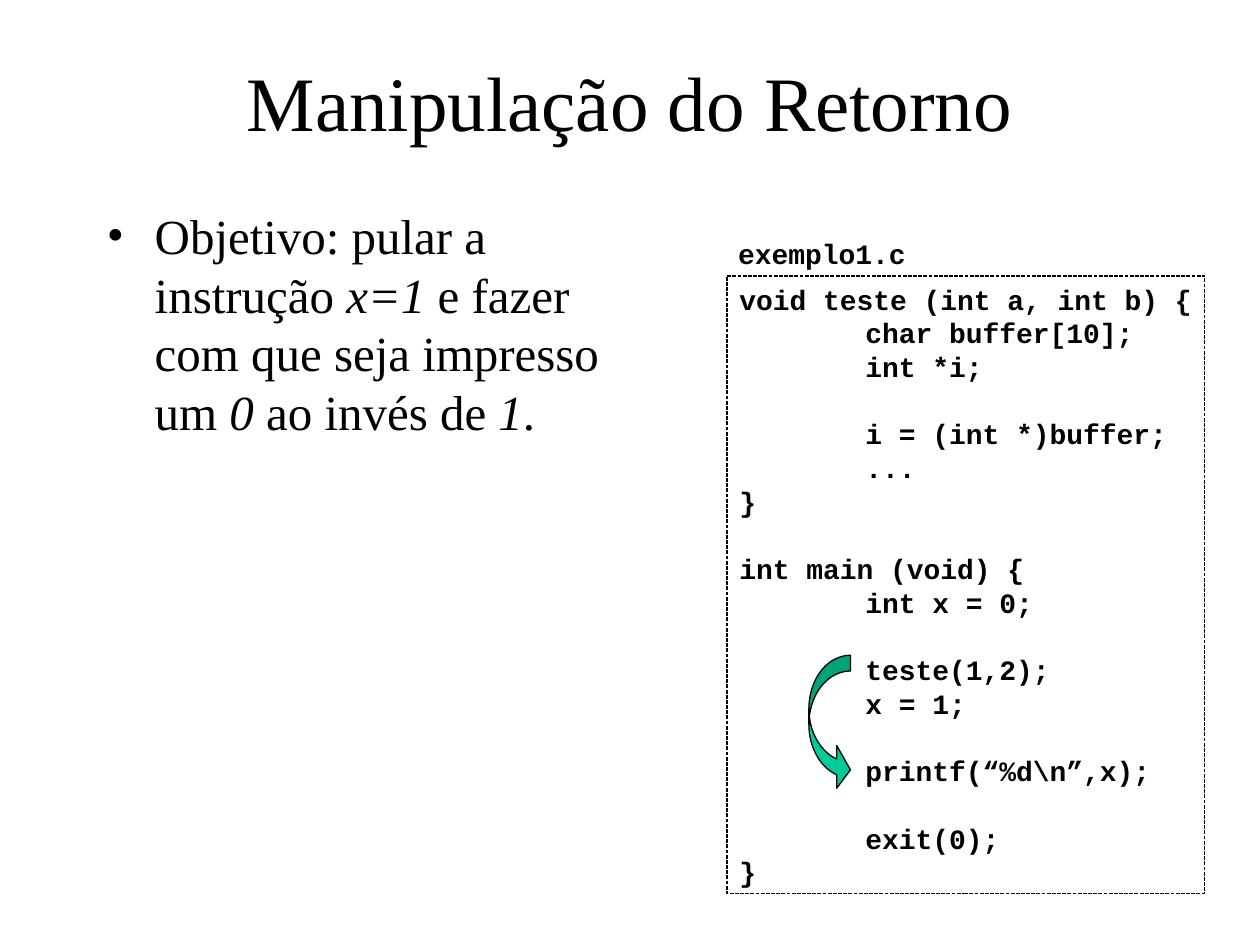
from pptx import Presentation
from pptx.dml.color import RGBColor
from pptx.enum.dml import MSO_LINE_DASH_STYLE as DASH
from pptx.enum.shapes import MSO_SHAPE as SHAPE
from pptx.enum.text import MSO_ANCHOR as ANCHOR, PP_ALIGN as ALIGN
from pptx.oxml.ns import qn
from pptx.util import Inches, Pt
from lxml.etree import SubElement

BLACK = RGBColor(0x00, 0x00, 0x00)
GREEN = RGBColor(0x00, 0xCC, 0x99)

TITLE = "Manipulação do Retorno"
GOAL = [
    ("Objetivo: pular a instrução ", False),
    ("x=1", True),
    (" e fazer com que seja impresso um ", False),
    ("0", True),
    (" ao invés de ", False),
    ("1", True),
    (".", False),
]
FILE_NAME = "exemplo1.c"
CODE_BLOCKS = [
    ["void teste (int a, int b) {", "\tchar buffer[10];", "\tint *i;"],
    ["\ti = (int *)buffer;", "\t...", "}"],
    ["int main (void) {", "\tint x = 0;"],
    ["\tteste(1,2);", "\tx = 1;"],
    ["\tprintf(“%d\\n”,x);"],
    ["\texit(0);", "}"],
]

TITLE_FONT = dict(name="Times New Roman", size=Pt(44))
BODY_FONT = dict(name="Times New Roman", size=Pt(28))
CODE_FONT = dict(name="Courier New", size=Pt(16), bold=True)
CODE_PITCH = Pt(19.25)
CODE_TAB = Inches(1)


def add_run(p, text, font, **extra):
    r = p.add_run()
    r.text = text
    for key, value in {**font, **extra}.items():
        setattr(r.font, key, value)
    r.font.color.rgb = BLACK


def add_box(s, box, wrap=True):
    tf = s.shapes.add_textbox(*map(Inches, box)).text_frame
    tf.word_wrap = wrap
    return tf


def add_outlined(s, kind, box):
    sp = s.shapes.add_shape(kind, *map(Inches, box))
    sp.shadow.inherit = False
    sp.line.color.rgb = BLACK
    sp.line.width = Pt(0.75)
    return sp


def add_bullet(p, indent, font_name):
    pPr = p._p.get_or_add_pPr()
    pPr.set("marL", str(indent))
    pPr.set("indent", str(-indent))
    SubElement(pPr, qn("a:buFont"), typeface=font_name)
    SubElement(pPr, qn("a:buChar"), char="•")


def add_tab(p, pos):
    tabs = SubElement(p._p.get_or_add_pPr(), qn("a:tabLst"))
    SubElement(tabs, qn("a:tab"), pos=str(pos), algn="l")


def add_code(tf, blocks):
    p = tf.paragraphs[0]
    for b, block in enumerate(blocks):
        for i, line in enumerate(block):
            if b or i:
                p = tf.add_paragraph()
            p.alignment = ALIGN.LEFT
            p.line_spacing = CODE_PITCH
            if b and not i:
                p.space_before = CODE_PITCH
            add_tab(p, CODE_TAB)
            add_run(p, line, CODE_FONT)


prs = Presentation()
prs.slide_width, prs.slide_height = Inches(10), Inches(7.5)
s = prs.slides.add_slide(prs.slide_layouts[6])

tf = add_box(s, (0.75, 0.17, 8.5, 1.25))
tf.vertical_anchor = ANCHOR.MIDDLE
p = tf.paragraphs[0]
p.alignment = ALIGN.CENTER
add_run(p, TITLE, TITLE_FONT)

p = add_box(s, (0.75, 1.58, 4.17, 5.08)).paragraphs[0]
p.space_before = Pt(7)
add_bullet(p, Inches(0.38), BODY_FONT["name"])
for text, italic in GOAL:
    add_run(p, text, BODY_FONT, italic=italic)

listing = add_outlined(s, SHAPE.RECTANGLE, (5.77, 2.19, 3.79, 4.9))
listing.fill.background()
listing.line.dash_style = DASH.SQUARE_DOT
tf = listing.text_frame
tf.word_wrap = False
tf.vertical_anchor = ANCHOR.TOP
add_code(tf, CODE_BLOCKS)

arrow = add_outlined(s, SHAPE.CURVED_RIGHT_ARROW, (6.42, 5.2, 0.33, 1.08))
arrow.fill.solid()
arrow.fill.fore_color.rgb = GREEN
for i, ratio in enumerate((0.38, 1.03, 0.33)):
    arrow.adjustments[i] = ratio

add_code(add_box(s, (5.76, 1.83, 1.53, 0.37), wrap=False), [[FILE_NAME]])

prs.save("out.pptx")
